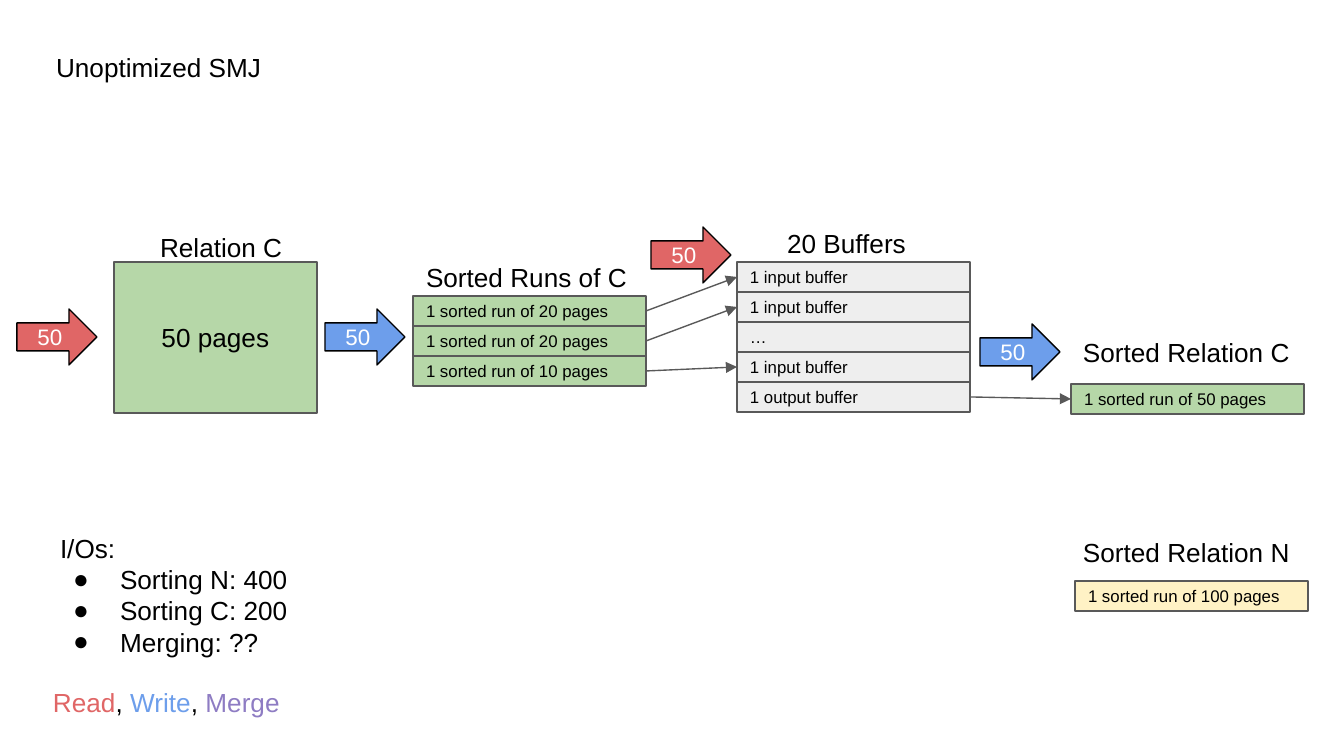
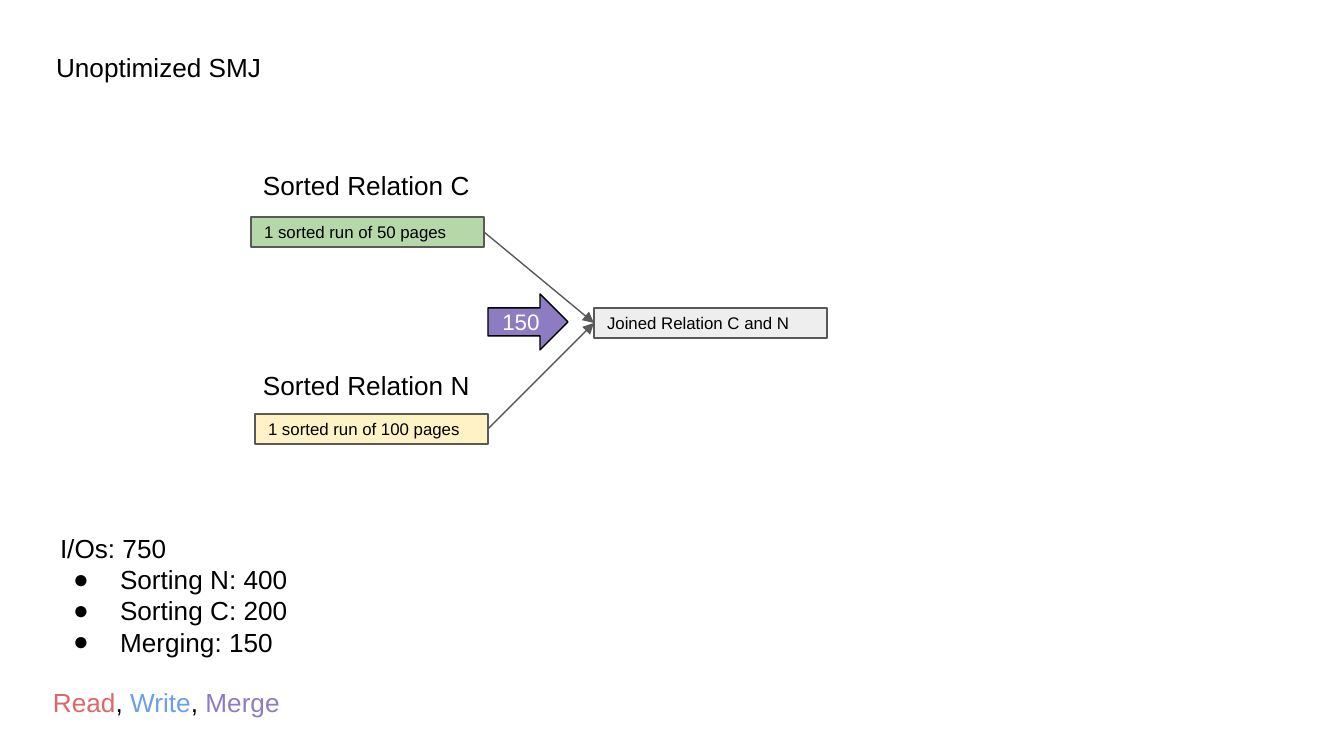
from itertools import pairwise

from lxml.etree import SubElement
from pptx import Presentation
from pptx.dml.color import RGBColor
from pptx.enum.shapes import MSO_CONNECTOR as Connector, MSO_SHAPE as Shape
from pptx.enum.text import MSO_ANCHOR as Anchor, MSO_AUTO_SIZE as AutoSize, PP_ALIGN as Align
from pptx.oxml.ns import qn
from pptx.util import Emu, Pt

FONT = "Arial"
BLACK = RGBColor(0x00, 0x00, 0x00)
WHITE = RGBColor(0xFF, 0xFF, 0xFF)
OUTLINE = RGBColor(0x59, 0x59, 0x59)
GREEN = RGBColor(0xB6, 0xD7, 0xA8)
YELLOW = RGBColor(0xFF, 0xF2, 0xC5)
GRAY = RGBColor(0xEE, 0xEE, 0xEE)
READ = RGBColor(0xE0, 0x66, 0x66)
WRITE = RGBColor(0x6D, 0x9E, 0xEB)
MERGE = RGBColor(0x8E, 0x7C, 0xC3)

ROW_WIDTH, ROW_HEIGHT = 233, 30
ARROW_WIDTH, ARROW_HEIGHT = 80, 56
LABEL_HEIGHT = 59
INSET = 13
LEFT_SITE, RIGHT_SITE = 1, 3


def px(length):
    """Turn pixels at 134.4 to the inch into EMU."""
    return Emu(round(length * 914400 / 134.4))


def set_font(target, size, color=BLACK):
    """Set the deck font on a paragraph or run."""
    target.font.name = FONT
    target.font.size = Pt(size)
    target.font.color.rgb = color


def prepare_frame(box, anchor=Anchor.TOP, auto_size=AutoSize.SHAPE_TO_FIT_TEXT):
    """Give a box the common insets and wrapping and return its text frame."""
    frame = box.text_frame
    frame.word_wrap = True
    frame.auto_size = auto_size
    frame.vertical_anchor = anchor
    frame.margin_left = frame.margin_right = px(INSET)
    frame.margin_top = frame.margin_bottom = px(INSET)
    return frame


def place(box, left, top, width, height):
    """Move and size a placeholder."""
    box.left, box.top, box.width, box.height = map(px, (left, top, width, height))


def add_block(page, kind, at, text, fill, size, align, outline=OUTLINE, color=BLACK):
    """Add a filled preset shape with one line of text."""
    box = page.shapes.add_shape(kind, *map(px, at))
    box.shadow.inherit = False
    box.fill.solid()
    box.fill.fore_color.rgb = fill
    box.line.color.rgb = outline
    box.line.width = Pt(0.75)
    para = prepare_frame(box, Anchor.MIDDLE, AutoSize.NONE).paragraphs[0]
    para.text = text
    para.alignment = align
    set_font(para, size, color)
    return box


def add_row(page, left, top, text, fill):
    """Add one thin row holding a run or a buffer."""
    at = (left, top, ROW_WIDTH, ROW_HEIGHT)
    return add_block(page, Shape.RECTANGLE, at, text, fill, 9, Align.LEFT)


def add_stack(page, left, top, texts, fill):
    """Stack rows downwards and return them."""
    return [add_row(page, left, top + index * ROW_HEIGHT, text, fill)
            for index, text in enumerate(texts)]


def add_cost(page, left, top, pages, fill):
    """Add a block arrow that shows the pages moved."""
    at = (left, top, ARROW_WIDTH, ARROW_HEIGHT)
    add_block(page, Shape.RIGHT_ARROW, at, pages, fill, 12, Align.CENTER, BLACK, WHITE)


def add_label(page, left, top, width, *spans):
    """Add a text line made of (text, colour) spans."""
    box = page.shapes.add_textbox(*map(px, (left, top, width, LABEL_HEIGHT)))
    para = prepare_frame(box).paragraphs[0]
    for text, color in spans:
        span = para.add_run()
        span.text = text
        set_font(span, 14, color)


def link(page, source, target):
    """Draw an arrow from the right side of one box to the left side of another."""
    line = page.shapes.add_connector(Connector.STRAIGHT, 0, 0, 0, 0)
    line.begin_connect(source, RIGHT_SITE)
    line.end_connect(target, LEFT_SITE)
    line.line.color.rgb = OUTLINE
    line.line.width = Pt(0.75)
    properties = line.element.find(qn("p:spPr"))
    SubElement(properties.find(qn("a:ln")), qn("a:tailEnd"), type="triangle")
    SubElement(properties, qn("a:effectLst"))


def add_bullet(para, indent, hanging, mark=None):
    """Set the indents of a paragraph and its bullet, if any."""
    properties = para._p.get_or_add_pPr()
    properties.set("marL", str(px(indent)))
    properties.set("indent", str(px(-hanging)))
    if mark is None:
        SubElement(properties, qn("a:buNone"))
        return
    SubElement(SubElement(properties, qn("a:buClr")), qn("a:srgbClr"), val=str(BLACK))
    SubElement(properties, qn("a:buFont"), typeface=FONT)
    SubElement(properties, qn("a:buChar"), char=mark)


def add_costs_list(box, total, merging):
    """Fill the body placeholder with the I/O costs."""
    place(box, 40, 519, 332, 153)
    frame = prepare_frame(box)
    lines = [total, "Sorting N: 400", "Sorting C: 200", f"Merging: {merging}"]
    for index, text in enumerate(lines):
        para = frame.add_paragraph() if index else frame.paragraphs[0]
        para.text = text
        para.space_before = Pt(0)
        set_font(para, 14)
        if index:
            add_bullet(para, 67, 47, "●")
        else:
            add_bullet(para, 7, 0)


def add_page(deck, total, merging):
    """Add a slide with the shared title, cost list and colour key."""
    page = deck.slides.add_slide(deck.slide_layouts[1])
    title, body = page.placeholders
    place(title, 43, 38, 567, LABEL_HEIGHT)
    para = prepare_frame(title).paragraphs[0]
    para.text = "Unoptimized SMJ"
    para.alignment = Align.LEFT
    set_font(para, 14)
    add_costs_list(body, total, merging)
    add_label(page, 40, 673, 374, ("Read", READ), (", ", BLACK),
              ("Write", WRITE), (", ", BLACK), ("Merge", MERGE))
    return page


def add_sorted_relations(page, left, top):
    """Add both sorted relations, C above N, and return their rows."""
    add_label(page, left, top, 243, ("Sorted Relation C", BLACK))
    add_label(page, left, top + 200, 243, ("Sorted Relation N", BLACK))
    relation_c = add_row(page, left + 1, top + 61, "1 sorted run of 50 pages", GREEN)
    relation_n = add_row(page, left + 5, top + 258, "1 sorted run of 100 pages", YELLOW)
    return relation_c, relation_n


def add_relation(page, left, top):
    """Add the unsorted relation C with its label."""
    add_block(page, Shape.RECTANGLE, (left, top, 203, 151), "50 pages", GREEN, 14, Align.CENTER)
    add_label(page, left + 33, top - 44, 184, ("Relation C", BLACK))


def add_runs(page, left, top):
    """Add the sorted runs of C and return their rows."""
    add_label(page, left, top - 48, ROW_WIDTH, ("Sorted Runs of C", BLACK))
    return add_stack(page, left, top, [f"1 sorted run of {size} pages" for size in (20, 20, 10)], GREEN)


def add_buffers(page, left, top):
    """Add the buffer stack and return its rows."""
    add_label(page, left + 37, top - 48, 184, ("20 Buffers", BLACK))
    texts = ["1 input buffer", "1 input buffer", "…", "1 input buffer", "1 output buffer"]
    return add_stack(page, left, top, texts, GRAY)


def build_sorting(deck):
    """Build the slide that sorts relation C."""
    page = add_page(deck, "I/Os:", "??")
    add_relation(page, 114, 262)
    runs = add_runs(page, 413, 296)
    first, second, _, third, output = add_buffers(page, 737, 262)
    relation_c, _ = add_sorted_relations(page, 1070, 323)
    for source, target in zip([*runs, output], [first, second, third, relation_c]):
        link(page, source, target)
    for left, top, fill in [(17, 309, READ), (325, 309, WRITE),
                            (651, 227, READ), (980, 324, WRITE)]:
        add_cost(page, left, top, "50", fill)


def build_merging(deck):
    """Build the slide that merges the two sorted relations."""
    page = add_page(deck, "I/Os: 750", "150")
    relations = add_sorted_relations(page, 250, 156)
    joined = add_row(page, 594, 308, "Joined Relation C and N", GRAY)
    for relation in relations:
        link(page, relation, joined)
    add_cost(page, 488, 294, "150", MERGE)


def main():
    """Build and save the deck."""
    deck = Presentation()
    deck.slide_width, deck.slide_height = px(1344), px(756)
    build_sorting(deck)
    build_merging(deck)
    deck.save("out.pptx")


if __name__ == "__main__":
    main()
